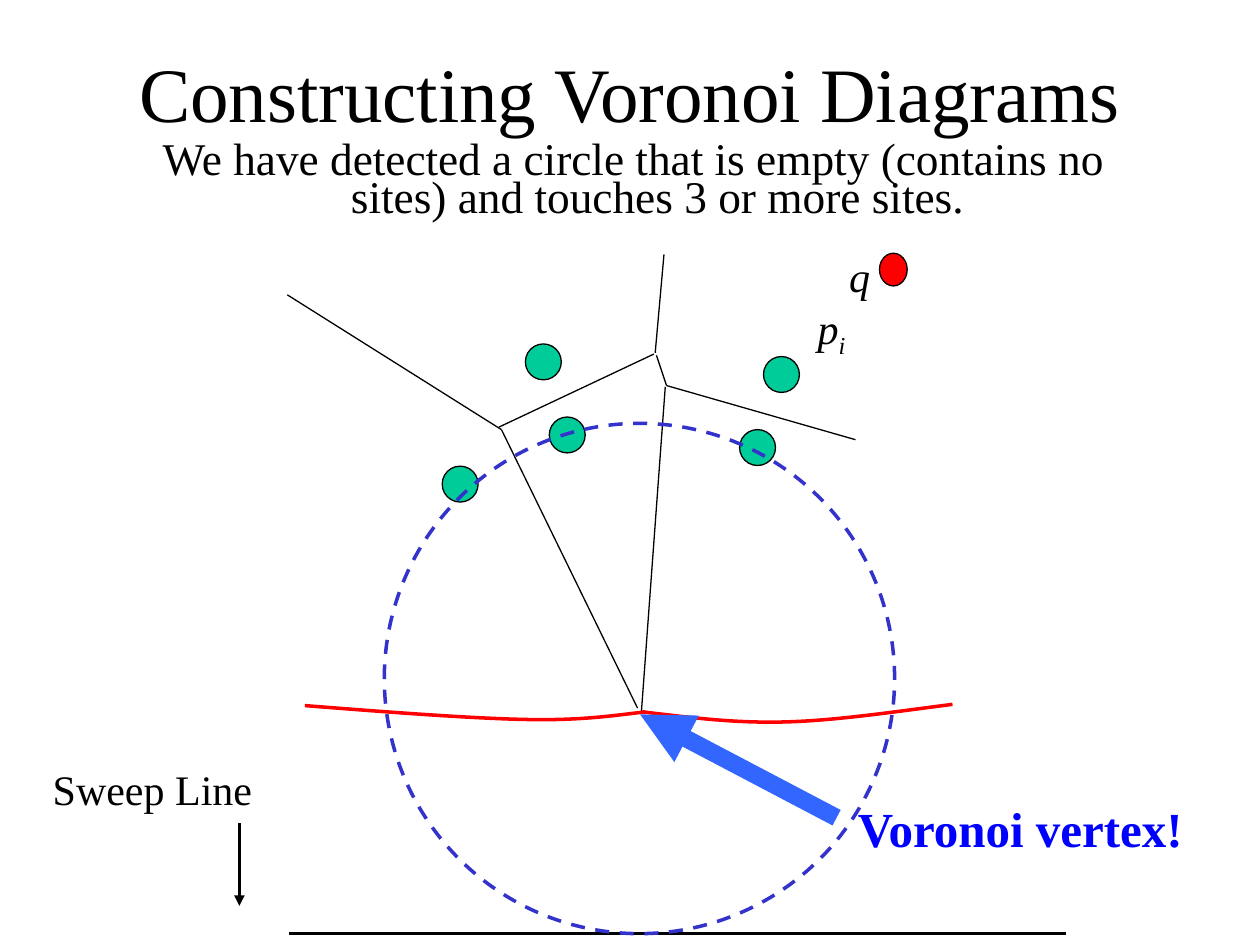
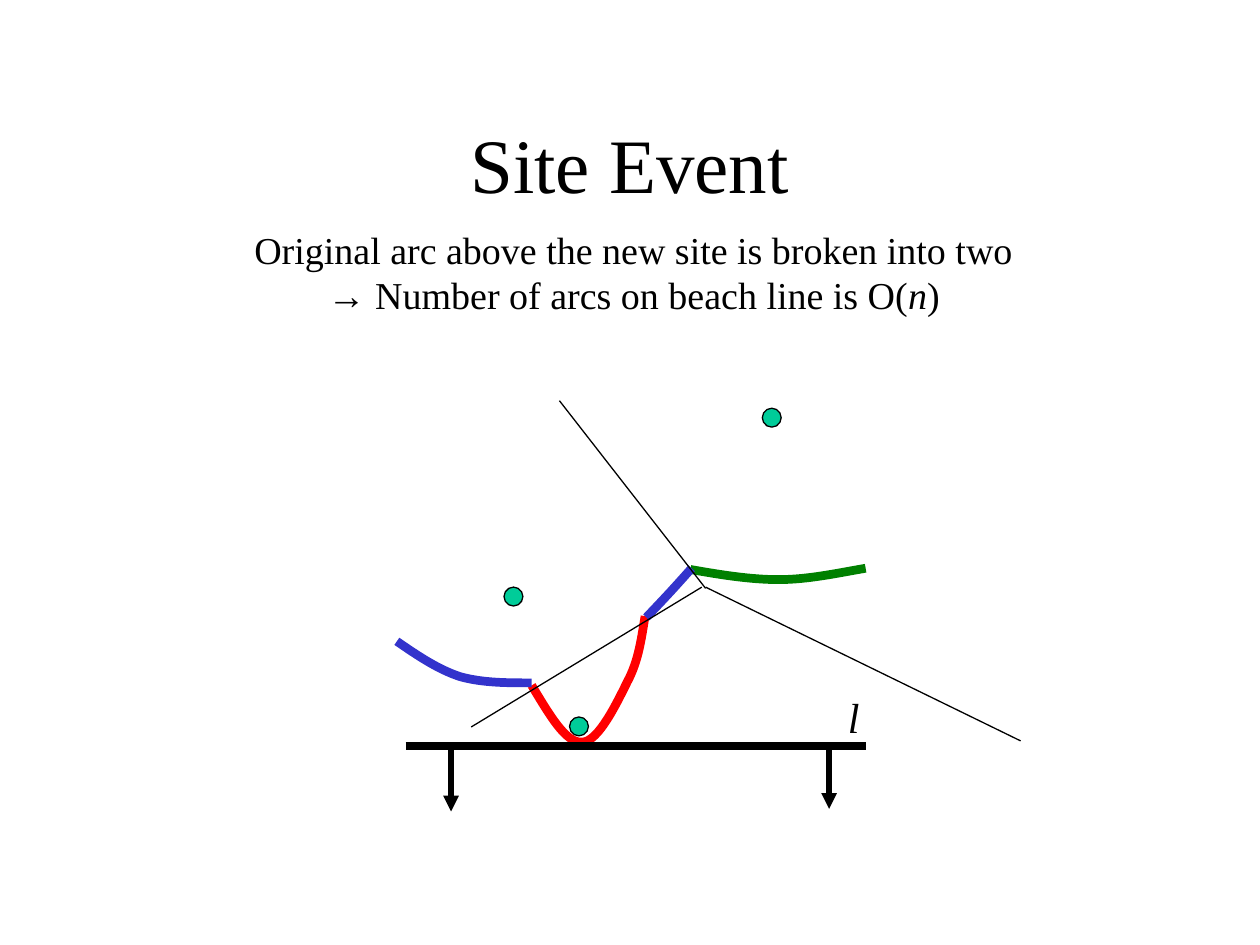
from dataclasses import dataclass, field
from typing import Any, NamedTuple, Optional

from lxml.etree import SubElement
from pptx import Presentation
from pptx.dml.color import RGBColor
from pptx.enum.dml import MSO_LINE_DASH_STYLE as DASH
from pptx.enum.shapes import MSO_CONNECTOR as CONN, MSO_SHAPE as SHAPE
from pptx.enum.text import MSO_ANCHOR as ANCHOR, MSO_AUTO_SIZE as AUTO, PP_ALIGN as ALIGN
from pptx.oxml.ns import qn
from pptx.util import Inches, Pt

COLS, ROWS = 100, 75
CELL = Inches(0.1)
BLACK, RED, SITE_GREEN, ARC_GREEN = "000000", "FF0000", "00CC99", "008000"
ARC_BLUE, LABEL_BLUE, ARROW_BLUE = "3333CC", "0000FF", "3366FF"
FONT = "Times New Roman"
HAIR = 0.75
MARGINS = dict(margin_left=Inches(0.1), margin_right=Inches(0.1),
               margin_top=Inches(0.05), margin_bottom=Inches(0.05))
ITALIC = {"italic": True}
Point = tuple[float, float]


class Box(NamedTuple):
    x: float
    y: float
    w: float
    h: float


@dataclass
class Run:
    text: str
    fmt: dict[str, Any] = field(default_factory=dict)
    baseline: int = 0


@dataclass
class Label:
    box: Box
    runs: list[Run]
    size: float = 24
    color: str = BLACK


@dataclass
class Line:
    start: Point
    end: Point
    width: float = HAIR
    color: str = BLACK
    arrow: bool = False


@dataclass
class Oval:
    box: Box
    fill: Optional[str] = SITE_GREEN
    line: str = BLACK
    width: float = HAIR
    dash: Optional[DASH] = None


@dataclass
class Curve:
    points: list[Point]
    color: str
    width: float


def rgb(code: str) -> RGBColor:
    return RGBColor.from_string(code)


def grid(*values: float) -> list[int]:
    return [round(v * CELL) for v in values]


def assign(obj: Any, values: dict[str, Any]) -> None:
    for name, value in values.items():
        setattr(obj, name, value)


def stroke(line: Any, color: str, width: float) -> None:
    line.color.rgb = rgb(color)
    line.width = Pt(width)


def add_runs(p: Any, runs: list[Run], size: float, color: str) -> None:
    for run in runs:
        r = p.add_run()
        r.text = run.text
        assign(r.font, {"name": FONT, "size": Pt(size), **run.fmt})
        r.font.color.rgb = rgb(color)
        if run.baseline:
            r.font._element.set("baseline", str(run.baseline * 1000))


def add_title(s: Any, text: str, top: float) -> None:
    sp = s.shapes.title
    left, y, width, height = grid(7.5, top, 85, 12.5)
    assign(sp, dict(left=left, top=y, width=width, height=height))
    assign(sp.text_frame, {**MARGINS, "vertical_anchor": ANCHOR.MIDDLE,
                           "word_wrap": True, "auto_size": AUTO.NONE})
    p = sp.text_frame.paragraphs[0]
    p.alignment = ALIGN.CENTER
    add_runs(p, [Run(text)], 44, BLACK)


def add_body(s: Any, top: float, size: float, lines: list[list[Run]]) -> None:
    tf = s.shapes.add_textbox(*grid(7.8, top, 85, 7.4)).text_frame
    assign(tf, {**MARGINS, "margin_top": Inches(0.1), "word_wrap": True})
    for i, runs in enumerate(lines):
        p = tf.add_paragraph() if i else tf.paragraphs[0]
        assign(p, dict(alignment=ALIGN.CENTER, line_spacing=0.7,
                       space_before=Pt(7 if i else 0)))
        indent = Inches(0.38)
        p._p.get_or_add_pPr().set("marL", str(indent))
        p._p.get_or_add_pPr().set("indent", str(-indent))
        add_runs(p, runs, size, BLACK)


def add_label(shapes: Any, label: Label) -> None:
    tf = shapes.add_textbox(*grid(*label.box)).text_frame
    assign(tf, {**MARGINS, "word_wrap": False, "auto_size": AUTO.SHAPE_TO_FIT_TEXT})
    add_runs(tf.paragraphs[0], label.runs, label.size, label.color)


def add_line(shapes: Any, line: Line) -> None:
    sp = shapes.add_connector(CONN.STRAIGHT, *grid(*line.start, *line.end))
    stroke(sp.line, line.color, line.width)
    if line.arrow:
        SubElement(sp.line._get_or_add_ln(), qn("a:tailEnd"), type="triangle")
    SubElement(sp._element.spPr, qn("a:effectLst"))


def add_oval(shapes: Any, oval: Oval) -> None:
    sp = shapes.add_shape(SHAPE.OVAL, *grid(*oval.box))
    sp.shadow.inherit = False
    if oval.fill:
        sp.fill.solid()
        sp.fill.fore_color.rgb = rgb(oval.fill)
    else:
        sp.fill.background()
    stroke(sp.line, oval.line, oval.width)
    if oval.dash:
        sp.line.dash_style = oval.dash


def add_curve(shapes: Any, curve: Curve) -> None:
    start, *rest = [tuple(grid(*pt)) for pt in curve.points]
    builder = shapes.build_freeform(*start)
    builder.add_line_segments(rest, close=False)
    sp = builder.convert_to_shape()
    sp.shadow.inherit = False
    sp.fill.background()
    stroke(sp.line, curve.color, curve.width)
    segments = list(sp._element.iter(qn("a:lnTo")))
    outline = segments[0].getparent()
    for i in range(0, len(segments), 3):
        bezier = SubElement(outline, qn("a:cubicBezTo"))
        for segment in segments[i:i + 3]:
            bezier.append(segment[0])
            outline.remove(segment)


DRAW = {Label: add_label, Line: add_line, Oval: add_oval, Curve: add_curve}


def draw(shapes: Any, items: list[Any]) -> None:
    for item in items:
        DRAW[type(item)](shapes, item)


def sites(corners: list[Point], size: float) -> list[Oval]:
    return [Oval(Box(x, y, size, size)) for x, y in corners]


def edges(*ends: tuple[float, float, float, float]) -> list[Line]:
    return [Line((x1, y1), (x2, y2)) for x1, y1, x2, y2 in ends]


def voronoi_slide(s: Any) -> None:
    add_title(s, "Constructing Voronoi Diagrams", 1)
    add_body(s, 10.5, 25.9, [[Run("We have detected a circle that is empty (contains no "
                                  "sites) and touches 3 or more sites.")]])
    draw(s.shapes, [
        Line((22.9, 74.1), (84.6, 74.1), 2),
        Label(Box(3.2, 60.1, 17.8, 5), [Run("Sweep Line")]),
        Line((19, 65.3), (19, 71.9), 2, arrow=True),
        *edges((52.9, 30.6, 52.1, 28.2), (22.8, 23.4, 39.8, 34.1),
               (39.8, 34.1, 50.6, 56.2), (50.9, 56.6, 52.8, 30.7),
               (39.6, 33.9, 51.9, 28.1), (52.9, 30.6, 67.9, 34.9),
               (52, 28, 52.7, 20.2)),
        *sites([(58.7, 34.1), (60.6, 28.3), (35.1, 37), (43.6, 33.1), (41.7, 27.3)], 2.85),
        Label(Box(63.9, 23.5, 4.2, 5.6), [Run("p", ITALIC), Run("i", ITALIC, -25)]),
        Label(Box(66.4, 19.4, 3.6, 5), [Run("q", ITALIC)]),
        Oval(Box(69.8, 20.1, 2.2, 2.6), RED),
        Curve([(51, 56.5), (54.5, 56.9), (58.1, 57.4), (62.2, 57.3),
               (66.3, 57.2), (70.9, 56.5), (75.6, 55.9)], RED, 2),
        Curve([(24.2, 56), (30.6, 56.5), (37.1, 57), (41.6, 57.1),
               (46.1, 57.2), (48.6, 56.8), (51.2, 56.5)], RED, 2),
        Oval(Box(30.5, 33.6, 40.5, 40.5), None, ARC_BLUE, 2, DASH.DASH),
    ])
    draw(s.shapes.add_group_shape().shapes, [
        Label(Box(67.1, 62.9, 28.2, 5.7), [Run("Voronoi vertex!", {"bold": True})],
              28, LABEL_BLUE),
        Line((66.4, 64.9), (50.8, 56.7), 10, ARROW_BLUE, True),
    ])


def site_event_slide(s: Any) -> None:
    add_title(s, "Site Event", 6.7)
    add_body(s, 18, 21.7, [
        [Run("Original arc above the new site is broken into two")],
        [Run("→", {"name": "Arial"}), Run(" Number of arcs on beach line is O("),
         Run("n", ITALIC), Run(")")],
    ])
    draw(s.shapes, [
        Curve([(42.2, 54.4), (43.6, 56.7), (44.9, 59), (46.2, 58.9), (47.5, 58.9),
               (49, 55.7), (49.8, 54.1), (50.7, 52.4), (50.9, 50.7), (51.2, 48.9)], RED, 5),
        Curve([(54.8, 45.2), (57.1, 45.6), (59.5, 46), (61.8, 46),
               (64.1, 46), (66.4, 45.5), (68.7, 45.1)], ARC_GREEN, 5),
        Curve([(31.5, 50.9), (33.1, 52), (34.7, 53.1), (36.5, 53.7),
               (38.3, 54.2), (40.2, 54.2), (42.2, 54.2)], ARC_BLUE, 5),
        *sites([(40, 46.6), (60.5, 32.4), (45.2, 56.9)], 1.5),
        Line((32.2, 59.2), (68.7, 59.2), 5),
        Line((35.8, 59.5), (35.8, 64.4), 3, arrow=True),
        Line((65.8, 59.4), (65.8, 64.2), 3, arrow=True),
        Label(Box(66.3, 54.4, 2.9, 5), [Run("l", ITALIC)]),
        Curve([(51.3, 49), (53.2, 47), (53.2, 47), (54.9, 45.1)], ARC_BLUE, 5),
        *edges((44.4, 31.8, 56, 46.7), (37.4, 57.7, 55.7, 46.6), (56, 46.6, 81, 58.8)),
    ])


def main() -> None:
    prs = Presentation()
    prs.slide_width, prs.slide_height = grid(COLS, ROWS)
    for build in (voronoi_slide, site_event_slide):
        build(prs.slides.add_slide(prs.slide_layouts[5]))
    prs.save("out.pptx")


if __name__ == "__main__":
    main()
